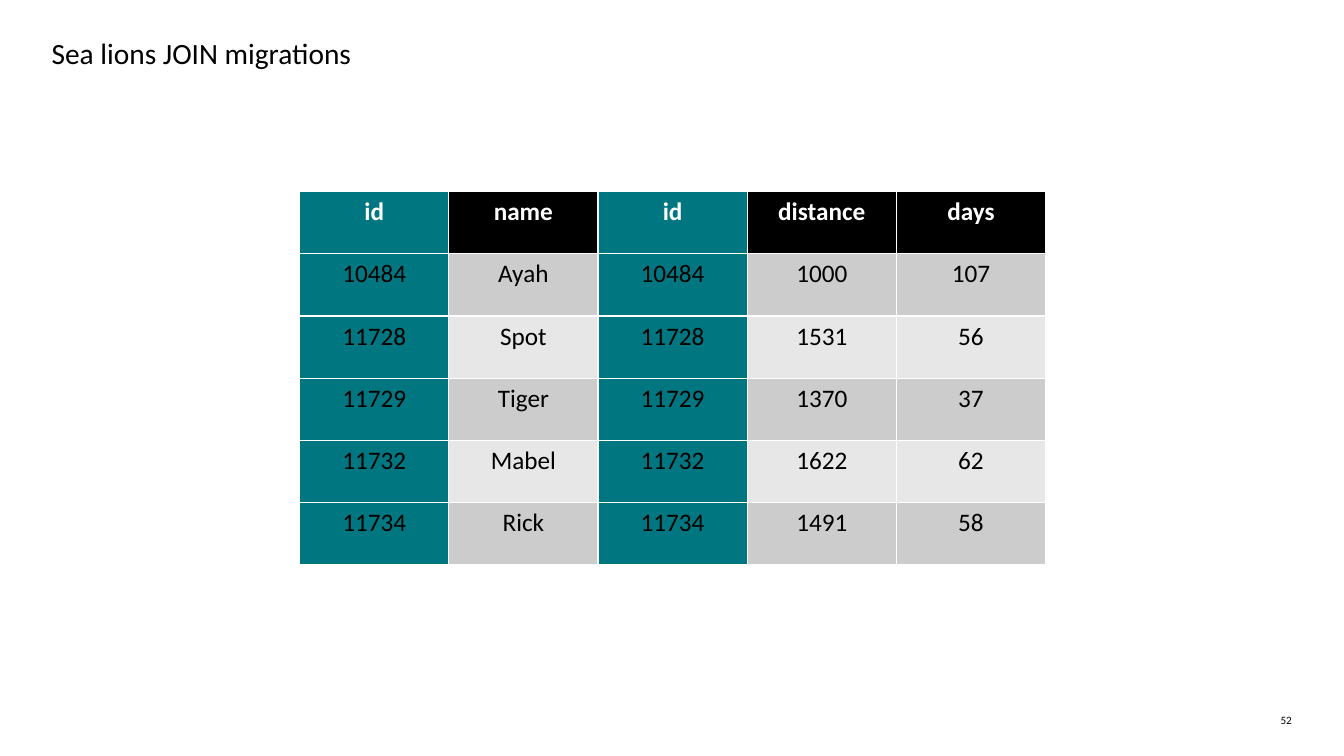
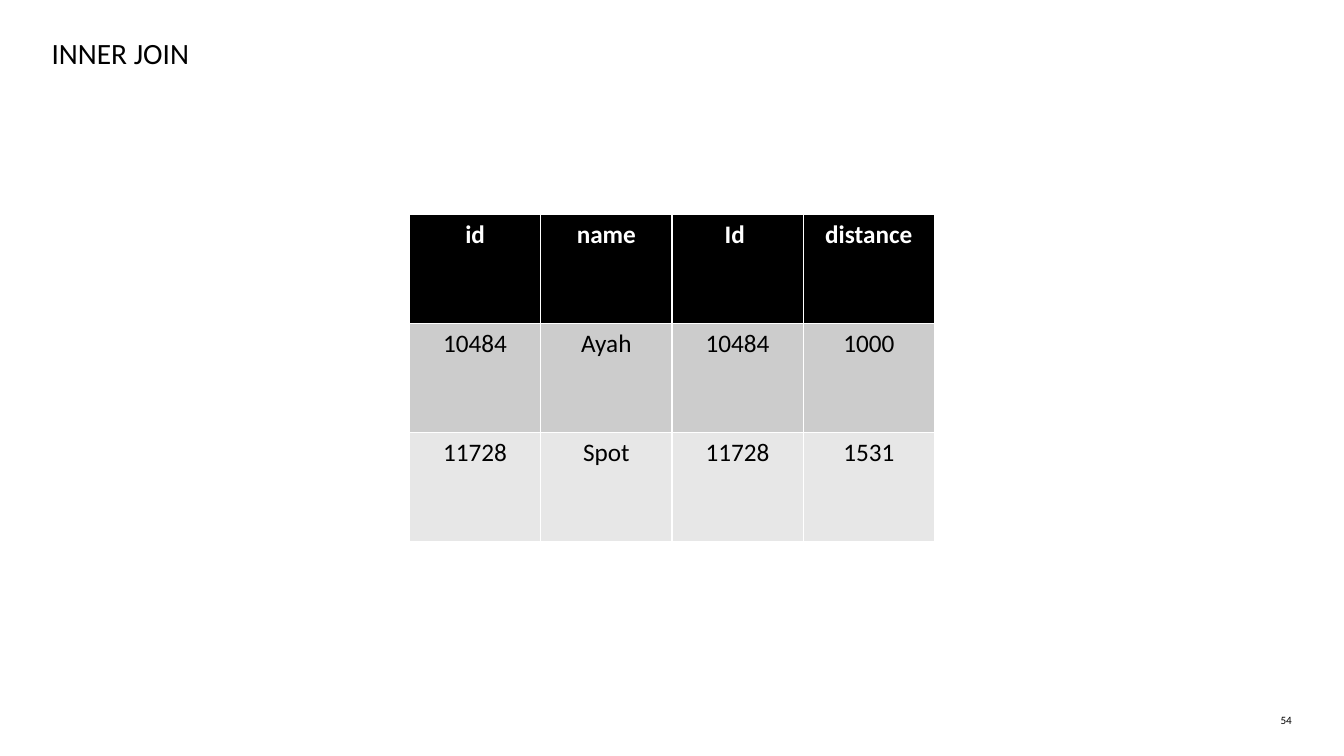
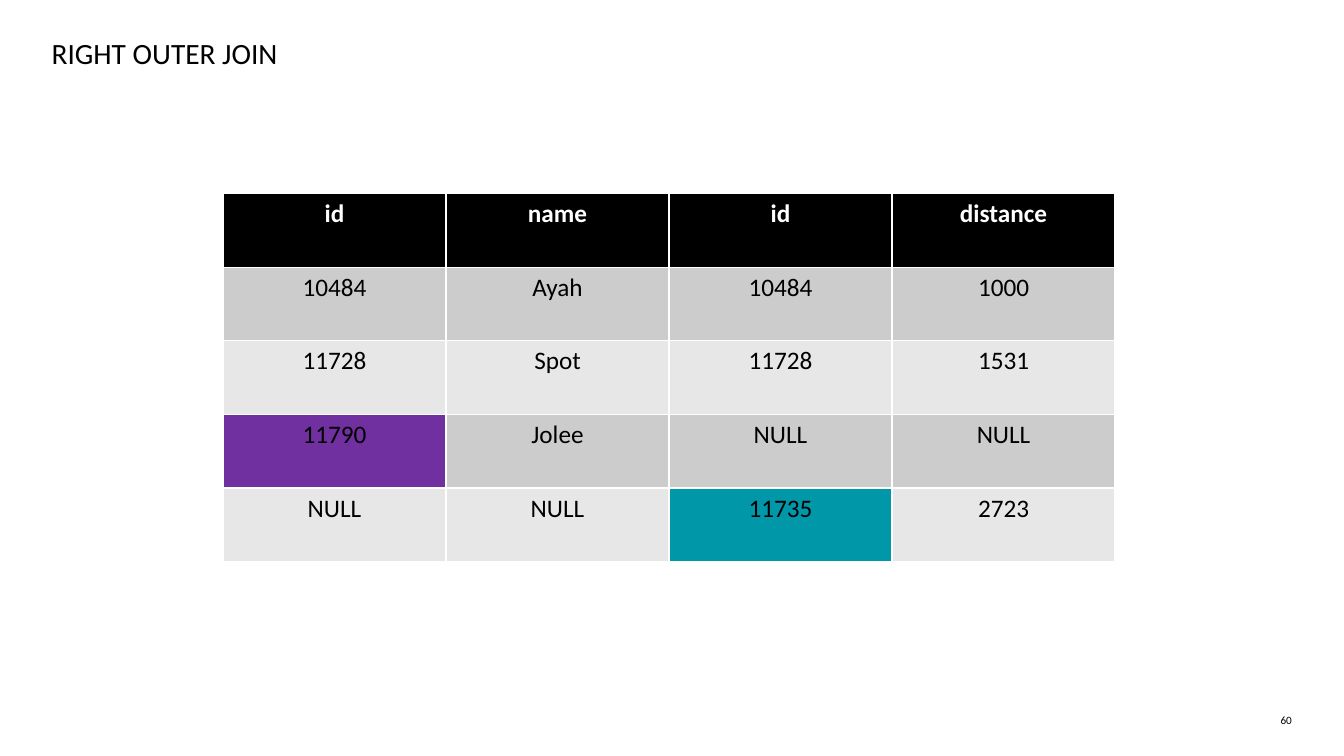
from pptx import Presentation
from pptx.dml.color import RGBColor
from pptx.enum.text import MSO_ANCHOR, MSO_AUTO_SIZE, PP_ALIGN
from pptx.util import Cm, Pt

LEFT, CENTER, RIGHT = PP_ALIGN.LEFT, PP_ALIGN.CENTER, PP_ALIGN.RIGHT
TOP, MIDDLE = MSO_ANCHOR.TOP, MSO_ANCHOR.MIDDLE
NO_AUTOFIT = MSO_AUTO_SIZE.NONE
TITLE_ONLY = 5

FONT = "Calibri"
COLORS = {
    "black": "000000", "white": "FFFFFF",
    "odd row": "CCCCCC", "even row": "E7E7E7",
    "join key": "007680", "left only": "7030A0", "right only": "0097A9",
}

# Content: area is left, top, width, height in cm;
# highlights map (row, column) to a colour
SLIDES = [
    {
        "title": "Sea lions JOIN migrations", "number": "52",
        "area": (7.55, 4.83, 18.8, 9.4),
        "rows": [
            ("id", "name", "id", "distance", "days"),
            ("10484", "Ayah", "10484", "1000", "107"),
            ("11728", "Spot", "11728", "1531", "56"),
            ("11729", "Tiger", "11729", "1370", "37"),
            ("11732", "Mabel", "11732", "1622", "62"),
            ("11734", "Rick", "11734", "1491", "58"),
        ],
        "highlights": {(row, column): "join key" for row in range(6) for column in (0, 2)},
    },
    {
        "title": "INNER JOIN", "number": "54",
        "area": (10.32, 5.41, 13.23, 8.23),
        "rows": [
            ("id", "name", "Id ", "distance"),
            ("10484", "Ayah", "10484", "1000"),
            ("11728", "Spot", "11728", "1531"),
        ],
        "highlights": {},
    },
    {
        "title": "RIGHT OUTER JOIN", "number": "60",
        "area": (5.62, 4.88, 22.48, 9.27),
        "rows": [
            ("id", "name", "id", "distance"),
            ("10484", "Ayah", "10484", "1000"),
            ("11728", "Spot", "11728", "1531"),
            ("11790", "Jolee", "NULL", "NULL"),
            ("NULL", "NULL", "11735", "2723"),
        ],
        "highlights": {(3, 0): "left only", (4, 2): "right only"},
    },
]


def rgb(name):
    return RGBColor.from_string(COLORS[name])


def write(frame, text, size, align, color="black", bold=False):
    para = frame.paragraphs[0]
    para.alignment = align
    span = para.add_run()
    span.text = text
    span.font.name = FONT
    span.font.size = Pt(size)
    span.font.bold = bold
    span.font.color.rgb = rgb(color)


def clear_margins(frame, anchor):
    frame.margin_left = frame.margin_top = frame.margin_right = frame.margin_bottom = 0
    frame.word_wrap = True
    frame.auto_size = NO_AUTOFIT
    frame.vertical_anchor = anchor


# Shared parts: title and page number
def add_page(deck, title, number):
    page = deck.slides.add_slide(deck.slide_layouts[TITLE_ONLY])
    heading = page.shapes.title
    heading.left, heading.top = Cm(1.3), Cm(0.84)
    heading.width, heading.height = Cm(31.12), Cm(0.97)
    clear_margins(heading.text_frame, MIDDLE)
    write(heading.text_frame, title, 21, LEFT)

    box = page.shapes.add_textbox(Cm(31.7), Cm(17.98), Cm(0.86), Cm(0.34))
    clear_margins(box.text_frame, TOP)
    write(box.text_frame, number, 8, RIGHT)
    return page


# Table with equal columns and rows; the default style draws its white borders
def add_join_table(page, area, rows, highlights):
    left, top, width, height = area
    table = page.shapes.add_table(
        len(rows), len(rows[0]), Cm(left), Cm(top), Cm(width), Cm(height)).table
    for row, values in enumerate(rows):
        is_header = row == 0
        band = "black" if is_header else "odd row" if row % 2 else "even row"
        for column, value in enumerate(values):
            cell = table.cell(row, column)
            cell.fill.solid()
            cell.fill.fore_color.rgb = rgb(highlights.get((row, column), band))
            write(cell.text_frame, value, 18, CENTER,
                  "white" if is_header else "black", is_header)


def main():
    deck = Presentation()
    deck.slide_width, deck.slide_height = Cm(33.87), Cm(19.05)
    for content in SLIDES:
        page = add_page(deck, content["title"], content["number"])
        add_join_table(page, content["area"], content["rows"], content["highlights"])
    deck.save("out.pptx")


if __name__ == "__main__":
    main()
